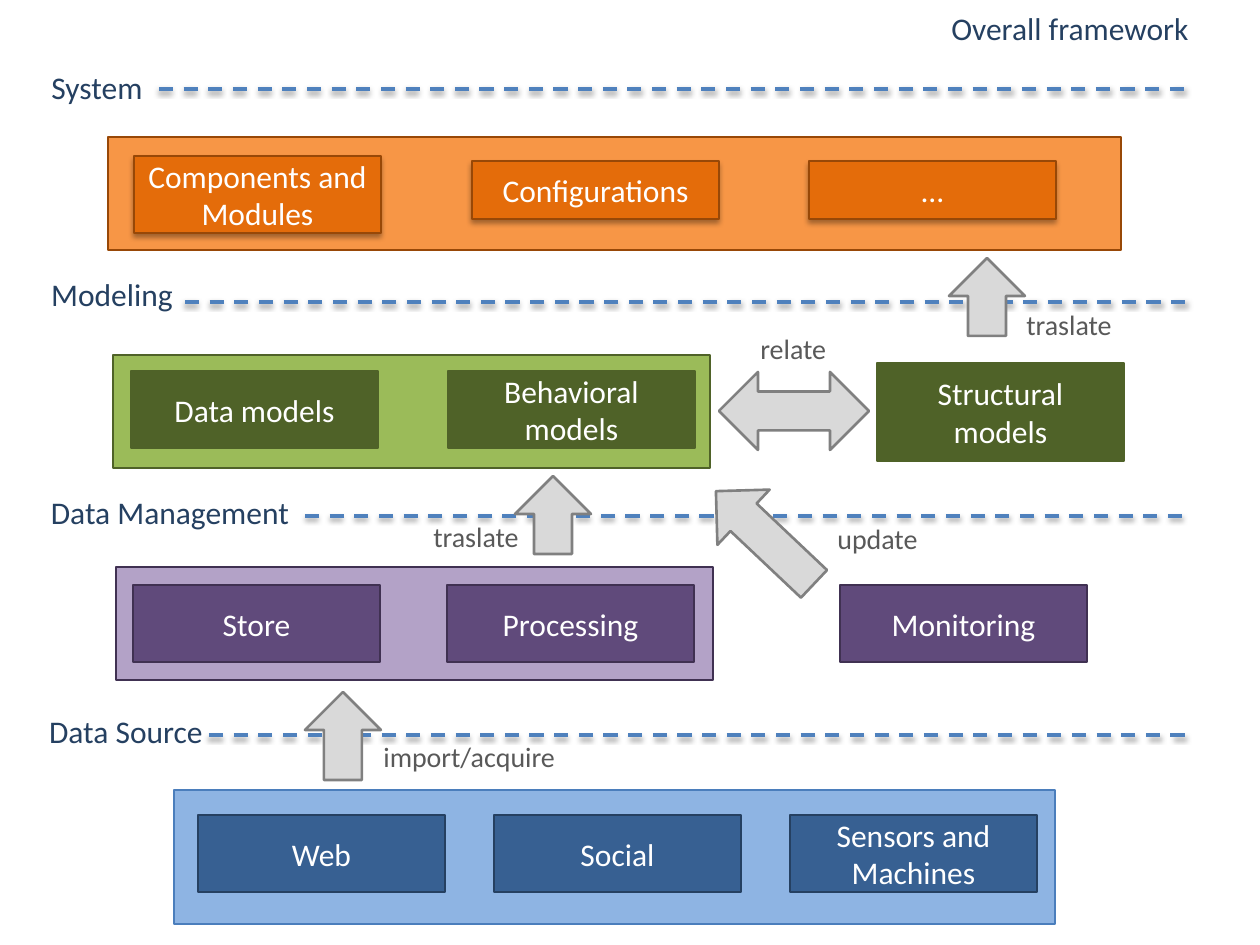
from typing import NamedTuple, Optional

from lxml.etree import SubElement
from pptx import Presentation
from pptx.dml.color import RGBColor
from pptx.enum.dml import MSO_LINE
from pptx.enum.shapes import MSO_CONNECTOR, MSO_SHAPE
from pptx.enum.text import MSO_ANCHOR, MSO_AUTO_SIZE, PP_ALIGN
from pptx.oxml.ns import qn
from pptx.util import Emu, Pt

PX_PER_INCH = 126
FONT = "Calibri"
COLORS = {
    "white": "FFFFFF", "heading": "254061", "label": "595959", "black": "000000",
    "divider": "4F81BD", "arrow": "D9D9D9", "arrow_line": "808080",
    "source_panel": "8EB4E3", "source_edge": "4B7EBC",
    "source": "376092", "source_line": "254061",
    "data_panel": "B3A2C7", "data": "604A7B", "data_line": "403152",
    "model_panel": "9BBB59", "model": "4F6228",
    "system_panel": "F79646", "system": "E46C0A", "system_line": "984807",
}
BOX_W, BOX_H = 247, 77
HEADING_H = 55
DIVIDER_END = 1188


class Block(NamedTuple):
    left: int
    top: int
    width: int
    height: int
    fill: str
    line: Optional[str] = None
    text: str = ""
    text_color: str = "white"
    raised: bool = False
    kind: MSO_SHAPE = MSO_SHAPE.RECTANGLE
    line_pt: float = 0.75
    rotation: float = 0


class Divider(NamedTuple):
    start: int
    y: int


class Label(NamedTuple):
    text: str
    left: int
    top: int
    width: int


def box(text: str, left: int, top: int, layer: str, line: str,
        height: int = BOX_H, raised: bool = False) -> Block:
    return Block(left, top, BOX_W, height, layer, line, text, raised=raised)


def heading(text: str, left: int, top: int, width: int = 226) -> Block:
    return Block(left, top, width, HEADING_H, "white", None, text, "heading")


def arrow(left: int, top: int, width: int, height: int,
          kind: MSO_SHAPE = MSO_SHAPE.UP_ARROW, rotation: float = 0) -> Block:
    return Block(left, top, width, height, "arrow", "arrow_line",
                 kind=kind, line_pt=1.5, rotation=rotation)


PANELS = [
    Block(174, 790, 881, 134, "source_panel", "source_edge"),
    Block(113, 355, 597, 113, "model_panel", "model"),
    Block(116, 567, 597, 113, "data_panel", "data_line"),
    Block(108, 137, 1013, 113, "system_panel", "system_line"),
]
HEADINGS = [
    heading("Data Source", 13, 703),
    heading("Data Management", 24, 484, 292),
    heading("Modeling", -1, 266),
    heading("System", -16, 59),
    heading("Overall framework", 877, 0, 386),
]
BOXES = [
    *(box(text, 198 + 296 * i, 815, "source", "source_line")
      for i, text in enumerate(("Web", "Social", "Sensors and Machines"))),
    box("Store", 133, 585, "data", "data_line"),
    box("Processing", 447, 585, "data", "data_line"),
    box("Monitoring", 840, 585, "data", "data_line"),
    box("Data models", 131, 371, "model", "model"),
    box("Behavioral models", 448, 371, "model", "model"),
    box("Structural models", 877, 363, "model", "model", 98),
    box("Components and Modules", 134, 156, "system", "system_line", raised=True),
    box("Configurations", 472, 161, "system", "system_line", 58, True),
    box("...", 809, 161, "system", "system_line", 58, True),
]
DIVIDERS = [Divider(159, 89), Divider(185, 302), Divider(305, 516), Divider(209, 735)]
ARROWS = [
    arrow(719, 372, 150, 78, MSO_SHAPE.LEFT_RIGHT_ARROW),
    arrow(515, 476, 76, 78),
    arrow(727, 470, 76, 135, rotation=313.4),
    arrow(305, 692, 76, 88),
    arrow(949, 258, 76, 78),
]
LABELS = [
    Label("relate", 748, 325, 93),
    Label("update", 825, 515, 107),
    Label("traslate", 421, 513, 113),
    Label("traslate", 1014, 301, 113),
    Label("import/acquire", 371, 733, 200),
]


def px(length: int) -> Emu:
    return Emu(round(length * 914400 / PX_PER_INCH))


def rgb(name: str) -> RGBColor:
    return RGBColor.from_string(COLORS[name])


def add_shadow(properties, distance_pt: float, opacity: int) -> None:
    """Cast a soft shadow straight down from a shape or connector."""
    effects = SubElement(properties, qn("a:effectLst"))
    shadow = SubElement(effects, qn("a:outerShdw"), blurRad=str(Pt(3.1)),
                        dist=str(Pt(distance_pt)), dir="5400000", rotWithShape="0")
    color = SubElement(shadow, qn("a:srgbClr"), val=COLORS["black"])
    SubElement(color, qn("a:alpha"), val=str(opacity * 1000))


def write(frame, text: str, size: int, color: str, align: PP_ALIGN) -> None:
    paragraph = frame.paragraphs[0]
    paragraph.text = text
    paragraph.alignment = align
    paragraph.font.name = FONT
    paragraph.font.size = Pt(size)
    paragraph.font.color.rgb = rgb(color)


def draw_block(slide, block: Block) -> None:
    shape = slide.shapes.add_shape(block.kind, px(block.left), px(block.top),
                                   px(block.width), px(block.height))
    shape.rotation = block.rotation
    shape.fill.solid()
    shape.fill.fore_color.rgb = rgb(block.fill)
    if block.line:
        shape.line.color.rgb = rgb(block.line)
        shape.line.width = Pt(block.line_pt)
    else:
        shape.line.fill.background()
    if block.raised:
        add_shadow(shape.element.spPr, 1.8, 35)
    else:
        shape.shadow.inherit = False
    if block.text:
        shape.text_frame.word_wrap = True
        shape.text_frame.vertical_anchor = MSO_ANCHOR.MIDDLE
        write(shape.text_frame, block.text, 18, block.text_color, PP_ALIGN.CENTER)


def draw_divider(slide, divider: Divider) -> None:
    rule = slide.shapes.add_connector(MSO_CONNECTOR.STRAIGHT, px(divider.start), px(divider.y),
                                      px(DIVIDER_END), px(divider.y))
    rule.line.color.rgb = rgb("divider")
    rule.line.width = Pt(2)
    rule.line.dash_style = MSO_LINE.DASH
    add_shadow(rule.element.spPr, 1.6, 38)


def draw_label(slide, label: Label) -> None:
    caption = slide.shapes.add_textbox(px(label.left), px(label.top), px(label.width), px(47))
    caption.text_frame.word_wrap = False
    caption.text_frame.auto_size = MSO_AUTO_SIZE.SHAPE_TO_FIT_TEXT
    write(caption.text_frame, label.text, 16, "label", PP_ALIGN.LEFT)


def main() -> None:
    deck = Presentation()
    deck.slide_width, deck.slide_height = px(1260), px(945)
    slide = deck.slides.add_slide(deck.slide_layouts[6])
    for block in PANELS + HEADINGS + BOXES:
        draw_block(slide, block)
    for divider in DIVIDERS:
        draw_divider(slide, divider)
    for block in ARROWS:
        draw_block(slide, block)
    for label in LABELS:
        draw_label(slide, label)
    deck.save("out.pptx")


if __name__ == "__main__":
    main()
